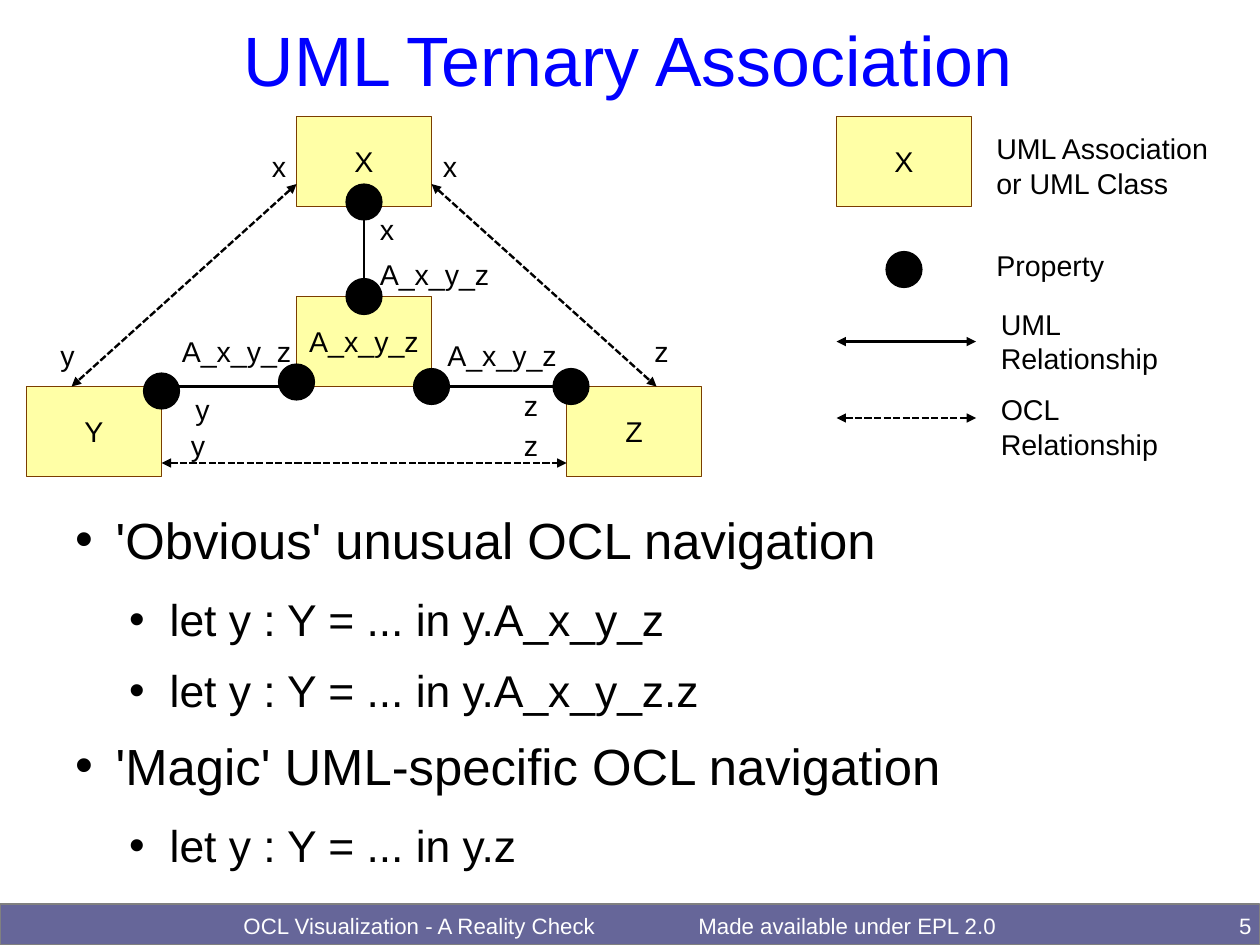
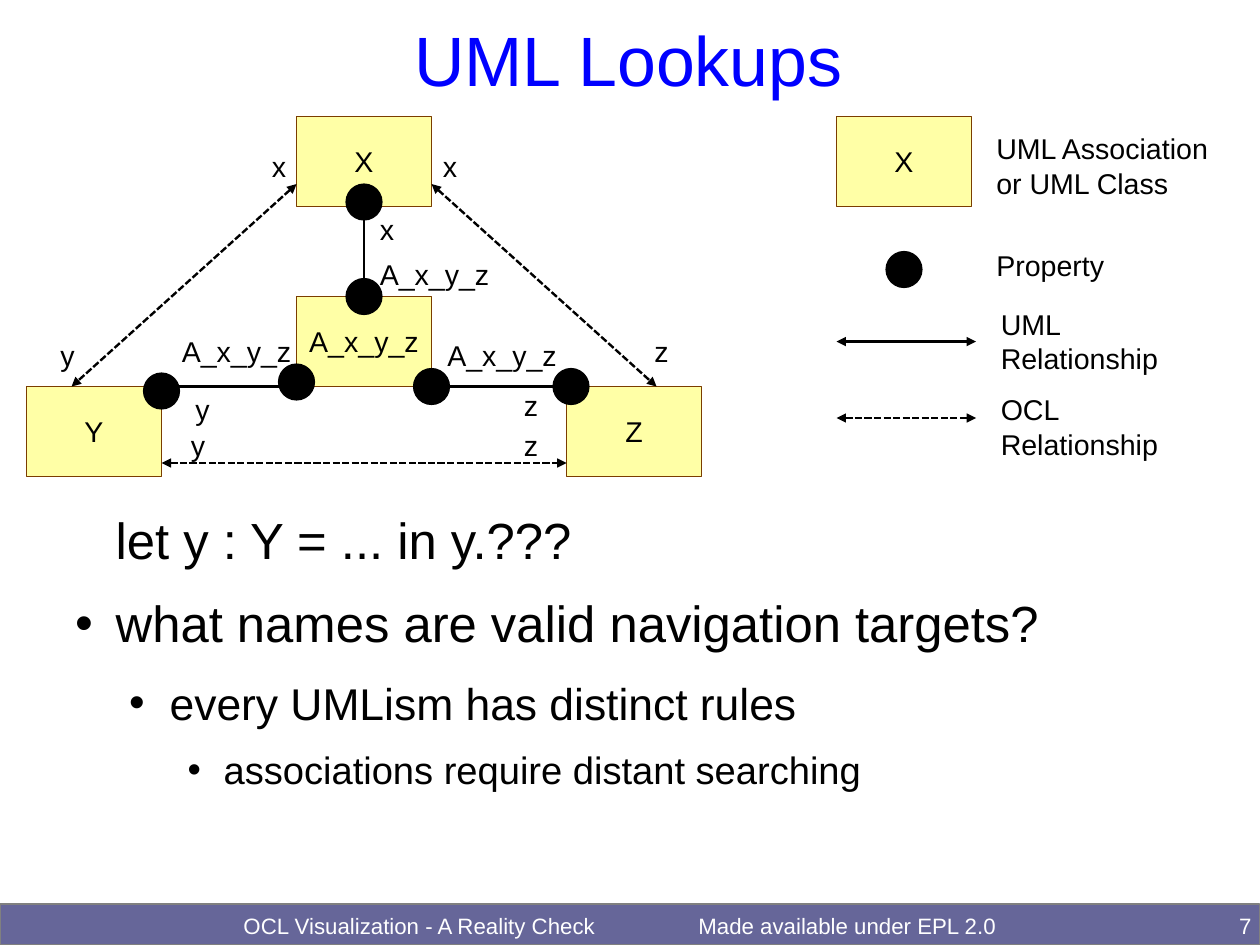
import pptx
import pptx.dml.color
import pptx.enum.dml
import pptx.enum.shapes
import pptx.enum.text
import pptx.oxml
import pptx.oxml.ns
import pptx.util

RGBColor = pptx.dml.color.RGBColor
BLUE = RGBColor(0x00, 0x00, 0xFF)
BLACK = RGBColor(0x00, 0x00, 0x00)
WHITE = RGBColor(0xFF, 0xFF, 0xFF)
SLATE = RGBColor(0x66, 0x66, 0x99)
GREY = RGBColor(0x80, 0x80, 0x80)
YELLOW = RGBColor(0xFF, 0xFF, 0xA6)
BROWN = RGBColor(0x7B, 0x3D, 0x00)

Align = pptx.enum.text.PP_ALIGN
Anchor = pptx.enum.text.MSO_ANCHOR
Shape = pptx.enum.shapes.MSO_SHAPE
FONT = "Arial"
COLUMNS, ROWS = 28, 21
ORIGIN_COLUMN, ORIGIN_ROW = 0.59, 2.59
BOX_COLUMNS, BOX_ROWS = 3, 2
DOT = 0.8
INSETS = (0.25, 0.13)
LEVELS = [(32, 1.2, -0.9, 14.2), (28, 2.4, -0.9, 11.3), (24, 3.6, -0.8, 8.5)]

CLASSES = [("A_x_y_z", 6, 4), ("X", 6, 0), ("Y", 0, 6), ("Z", 12, 6), ("X", 18, 0)]
UML_RELATIONSHIPS = [
    (7.5, 2, 7.5, 4), (6.1, 6, 2.9, 6), (8.9, 6, 12, 6), (18, 5, 21.1, 5),
]
OCL_RELATIONSHIPS = [
    (6, 1.5, 1, 6), (9, 1.5, 14, 6), (3, 7.7, 12, 7.7), (18, 6.7, 21.1, 6.7),
]
PROPERTIES = [
    (7.5, 1.9), (7.5, 4), (6, 5.9), (9, 6), (3, 6.1), (12.1, 6), (19.5, 3.4),
]
ROLE_LABELS = [
    ("x", 7.6, 2), ("A_x_y_z", 7.6, 3), ("z", 13.7, 4.7), ("A_x_y_z", 9.1, 4.8),
    ("A_x_y_z", 3.2, 4.7), ("y", 0.5, 4.8), ("x", 9, 0.6), ("x", 5.2, 0.6),
    ("y", 3.4, 6.8), ("y", 3.5, 6), ("z", 10.8, 5.9), ("z", 10.8, 6.8),
]
LEGEND_LABELS = [
    ("UML Association\nor UML Class", 21.3, 0.2), ("Property", 21.3, 2.8),
    ("UML\nRelationship", 21.4, 4.1), ("OCL\nRelationship", 21.4, 6),
]
SLIDES = [
    ("UML Ternary Association", "5", [
        (0, True, "'Obvious' unusual OCL navigation"),
        (1, True, "let y : Y = ... in y.A_x_y_z"),
        (1, True, "let y : Y = ... in y.A_x_y_z.z"),
        (0, True, "'Magic' UML-specific OCL navigation"),
        (1, True, "let y : Y = ... in y.z"),
    ]),
    ("UML Lookups", "7", [
        (0, False, "let y : Y = ... in y.???"),
        (0, True, "what names are valid navigation targets?"),
        (1, True, "every UMLism has distinct rules"),
        (2, True, "associations require distant searching"),
    ]),
]


def grid(*cells):
    return [pptx.util.Cm(cell) for cell in cells]


def add_element(parent, tag, **attributes):
    element = pptx.oxml.parse_xml(f"<a:{tag} {pptx.oxml.ns.nsdecls('a')}/>")
    for name, value in attributes.items():
        element.set(name, value)
    parent.append(element)


class Deck:
    def __init__(self):
        self.presentation = pptx.Presentation()
        self.presentation.slide_width, self.presentation.slide_height = grid(COLUMNS, ROWS)
        self.layout = self.presentation.slide_layouts[1]
        self.slide = None

    def add_slide(self):
        self.slide = self.presentation.slides.add_slide(self.layout)

    def style(self, paragraph, size, color, align=Align.LEFT):
        paragraph.alignment = align
        paragraph.font.name = FONT
        paragraph.font.size = pptx.util.Pt(size)
        paragraph.font.color.rgb = color

    def frame(self, shape, insets=(0, 0), anchor=Anchor.TOP, wrap=True):
        frame = shape.text_frame
        frame.auto_size = pptx.enum.text.MSO_AUTO_SIZE.NONE
        frame.word_wrap = wrap
        frame.vertical_anchor = anchor
        frame.margin_left = frame.margin_right = pptx.util.Cm(insets[0])
        frame.margin_top = frame.margin_bottom = pptx.util.Cm(insets[1])
        return frame

    def fill_text(self, shape, text, size, color, align=Align.LEFT, **layout):
        frame = self.frame(shape, **layout)
        frame.text = text
        for paragraph in frame.paragraphs:
            self.style(paragraph, size, color, align)

    def place(self, shape, left, top, width, height):
        shape.left, shape.top, shape.width, shape.height = grid(left, top, width, height)

    def text(self, text, left, top, width, height, size, color, **layout):
        shape = self.slide.shapes.add_textbox(*grid(left, top, width, height))
        self.fill_text(shape, text, size, color, **layout)
        return shape

    def solid(self, kind, left, top, width, height, fill, line):
        shape = self.slide.shapes.add_shape(kind, *grid(left, top, width, height))
        shape.shadow.inherit = False
        shape.fill.solid()
        shape.fill.fore_color.rgb = fill
        shape.line.color.rgb = line
        shape.line.width = pptx.util.Pt(0)
        return shape

    def shared_band(self):
        band = self.solid(Shape.RECTANGLE, 0, 20.09, COLUMNS, 0.91, SLATE, GREY)
        licence = self.text("Made available under EPL 2.0", 15.27, 20.14, 7.14, 0.82,
                            14, WHITE, insets=INSETS)
        for shape in (band, licence):
            self.layout.shapes.element.append(shape.element)

    def footer(self, number):
        self.text("OCL Visualization - A Reality Check", 5.13, 20.27, 8.38, 0.7,
                  14, WHITE, align=Align.CENTER)
        self.text(number, 26.64, 20.27, 1.17, 0.7, 14, WHITE, align=Align.RIGHT)

    def title(self, text):
        shape = self.slide.shapes.title
        self.place(shape, 1.37, 0.43, 25.2, 1.73)
        self.fill_text(shape, text, 44, BLUE, Align.CENTER, anchor=Anchor.MIDDLE)

    def bullets(self, items):
        shape = self.slide.placeholders[1]
        self.place(shape, 1.37, 11.3, 25.2, 8.46)
        frame = self.frame(shape)
        frame.text = "\n".join(text for level, bulleted, text in items)
        for paragraph, (level, bulleted, text) in zip(frame.paragraphs, items):
            size, margin, indent, space_after = LEVELS[level]
            properties = paragraph._p.get_or_add_pPr()
            properties.set("marL", str(pptx.util.Cm(margin)))
            properties.set("indent", str(pptx.util.Cm(indent if bulleted else 0)))
            if bulleted:
                add_element(properties, "buFont", typeface=FONT)
                add_element(properties, "buChar", char="•")
            else:
                add_element(properties, "buNone")
            paragraph.level = level
            paragraph.space_before = pptx.util.Pt(0)
            paragraph.space_after = pptx.util.Pt(space_after)
            self.style(paragraph, size, BLACK)

    def class_box(self, name, column, row):
        shape = self.solid(Shape.RECTANGLE, ORIGIN_COLUMN + column, ORIGIN_ROW + row,
                           BOX_COLUMNS, BOX_ROWS, YELLOW, BROWN)
        self.fill_text(shape, name, 18, BLACK, Align.CENTER, insets=INSETS,
                       anchor=Anchor.MIDDLE, wrap=False)

    def property_dot(self, column, row):
        self.solid(Shape.OVAL, ORIGIN_COLUMN + column - DOT / 2,
                   ORIGIN_ROW + row - DOT / 2, DOT, DOT, BLACK, BLACK)

    def label(self, text, column, row, width=BOX_COLUMNS):
        height = 0.96 + 0.72 * text.count("\n")
        self.text(text, ORIGIN_COLUMN + column, ORIGIN_ROW + row, width, height,
                  18, BLACK, insets=INSETS)

    def arrow(self, column, row, end_column, end_row, dashed=False):
        connector = self.slide.shapes.add_connector(
            pptx.enum.shapes.MSO_CONNECTOR.STRAIGHT,
            *grid(ORIGIN_COLUMN + column, ORIGIN_ROW + row,
                  ORIGIN_COLUMN + end_column, ORIGIN_ROW + end_row))
        connector.line.color.rgb = BLACK
        connector.line.width = pptx.util.Pt(1.5)
        if dashed:
            connector.line.dash_style = pptx.enum.dml.MSO_LINE.SQUARE_DOT
        properties = connector.element.spPr
        line = properties.find(pptx.oxml.ns.qn("a:ln"))
        for end in ("headEnd", "tailEnd"):
            add_element(line, end, type="triangle")
        add_element(properties, "effectLst")

    def association_diagram(self):
        for name, column, row in CLASSES:
            self.class_box(name, column, row)
        for ends in UML_RELATIONSHIPS:
            self.arrow(*ends)
        for ends in OCL_RELATIONSHIPS:
            self.arrow(*ends, dashed=True)
        for center in PROPERTIES:
            self.property_dot(*center)
        for text, column, row in ROLE_LABELS:
            self.label(text, column, row)
        for text, column, row in LEGEND_LABELS:
            self.label(text, column, row, width=5.4)


def main():
    deck = Deck()
    for index, (title, number, items) in enumerate(SLIDES):
        deck.add_slide()
        if index == 0:
            deck.shared_band()
        deck.title(title)
        deck.bullets(items)
        deck.association_diagram()
        deck.footer(number)
    deck.presentation.save("out.pptx")


if __name__ == "__main__":
    main()
